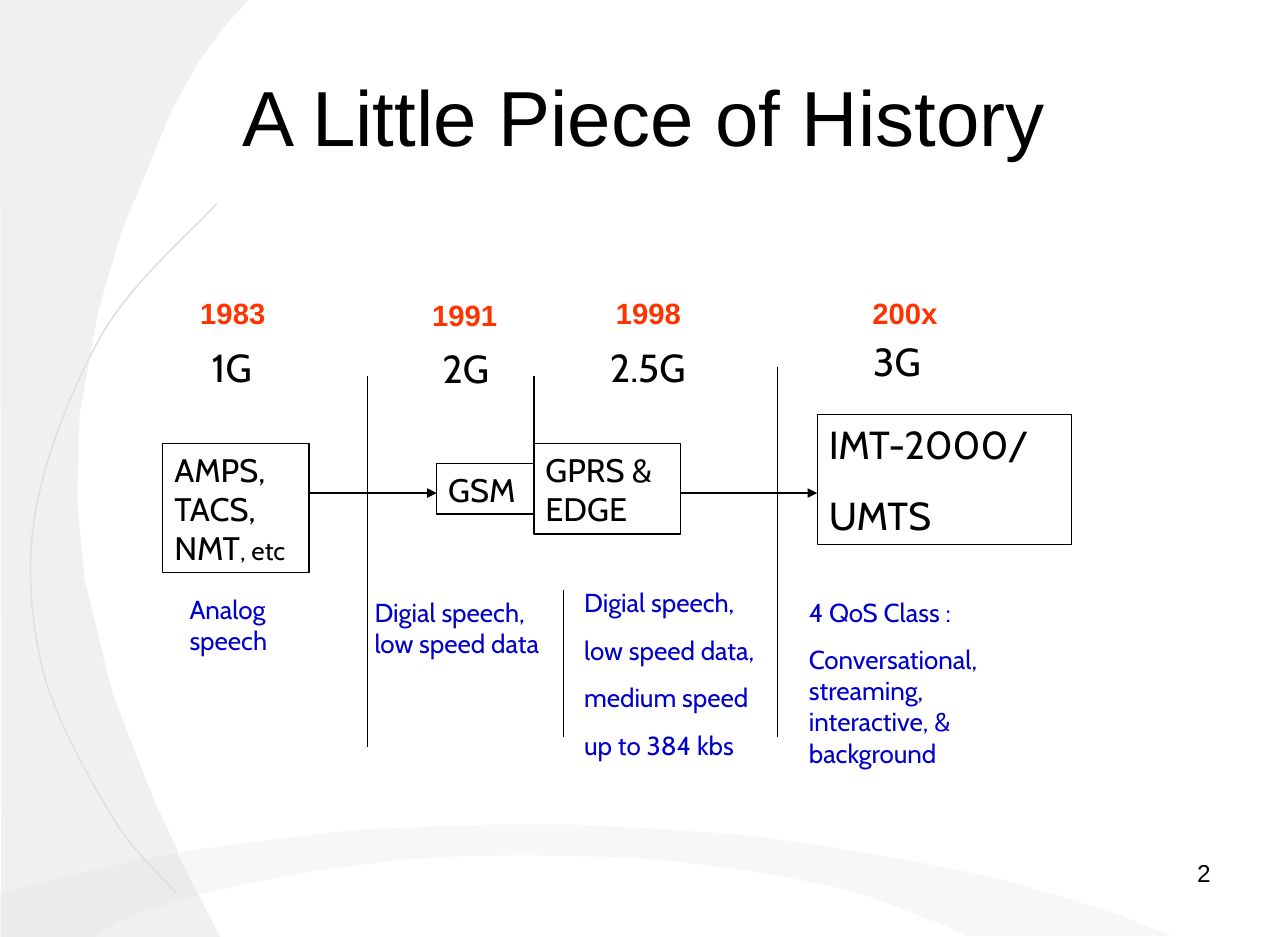
from dataclasses import dataclass

from lxml import etree
from pptx import Presentation, util as u
from pptx.dml.color import RGBColor
from pptx.enum import shapes, text
from pptx.oxml import ns

# Content: places are (column, row, columns wide, rows high) on an 11 x 8 grid
COLUMNS, ROWS = 11, 8
TITLE = ("A Little Piece of History", (0.55, 0.32, 9.9, 1.33))
PAGE_NUMBER = ("2", (7.88, 7.28, 2.57, 0.56))
YEAR_SIZE = (0.82, 0.41)

STAGES = [
    dict(
        year=("1983", (1.6, 2.47)),
        generation=("1G", (1.71, 2.88, 0.63, 0.5)),
        system=([[("AMPS, TACS, NMT", "system"), (", etc", "note")]], (1.39, 3.79, 1.25, 1.1), 10),
        service=(["Analog", "speech"], (1.52, 5.02, 0.99, 0.63), False),
    ),
    dict(
        year=("1991", (3.58, 2.49)),
        generation=("2G", (3.68, 2.89, 0.63, 0.5)),
        system=([[("GSM", "system")]], (3.73, 3.96, 0.83, 0.43), 12.5),
        service=(["Digial speech,", "low speed data"], (3.1, 5.04, 1.78, 0.63), False),
    ),
    dict(
        year=("1998", (5.15, 2.47)),
        generation=("2.5G", (5.11, 2.88, 0.91, 0.5)),
        system=([[("GPRS & EDGE", "system")]], (4.56, 3.79, 1.25, 0.77), 12.5),
        service=(["Digial speech,", "low speed data,", "medium speed", "up to 384 kbs"],
                 (4.89, 4.96, 1.92, 1.58), True),
    ),
    dict(
        year=("200x", (7.34, 2.47)),
        generation=("3G", (7.36, 2.83, 0.63, 0.5)),
        system=([[("IMT-2000/", "large")], [("UMTS", "large")]], (6.98, 3.54, 2.17, 1.11), 15),
        service=(["4 QoS Class :", "Conversational, streaming, interactive, & background"],
                 (6.81, 5.04, 1.92, 1.57), True),
    ),
]
ARROW_ROW = 4.21
ARROWS = [(0, 1), (2, 3)]  # stage to stage
DIVIDERS = [(3.14, 3.21, 6.38), (4.56, 3.21, 3.79), (6.64, 3.13, 6.29), (4.81, 5.04, 6.29)]

SIDE_BAND = [
    (0, 0), (2.12, 0), (1.88, 0.27), (1.71, 0.51), (1.47, 0.93), (1.27, 1.42), (1.04, 1.97),
    (0.84, 2.65), (0.68, 3.54), (0.66, 4.27), (0.72, 4.93), (0.96, 5.92), (1.31, 6.82),
    (1.69, 7.63), (1.88, 8), (0.01, 8)]
BOTTOM_ARC = [
    (0, 8), (0, 7.63), (0.11, 7.6), (0.77, 7.43), (1.49, 7.28), (2.3, 7.17), (3, 7.09),
    (3.61, 7.06), (4.22, 7.04), (4.92, 7.04), (5.65, 7.08), (6.37, 7.13), (7.02, 7.22),
    (7.73, 7.34), (8.48, 7.49), (8.98, 7.63), (9.53, 7.8), (10, 7.99), (8.25, 7.99),
    (8.09, 7.91), (7.78, 7.79), (7.44, 7.66), (7.12, 7.57), (6.72, 7.49), (6.29, 7.42),
    (5.82, 7.36), (5.36, 7.32), (4.92, 7.31), (4.48, 7.3), (3.96, 7.31), (3.43, 7.34),
    (2.73, 7.43), (2.24, 7.52), (1.68, 7.64), (1.32, 7.75), (1.03, 7.85), (0.79, 8)]
OVERLAP = [
    (0.01, 8), (0.81, 8), (0.89, 7.94), (1.01, 7.87), (1.18, 7.8), (1.33, 7.75), (1.46, 7.71),
    (1.59, 7.67), (1.69, 7.64), (1.6, 7.45), (1.51, 7.28), (1.19, 7.34), (0.79, 7.43),
    (0.46, 7.51), (0.15, 7.59), (0.01, 7.63)]
CURVE_START = (1.5, 7.62)
CURVE = [  # two controls and an end for each cubic piece
    ((1.41, 7.51), (1.14, 7.28), (0.95, 6.96)), ((0.76, 6.64), (0.47, 6.14), (0.36, 5.7)),
    ((0.26, 5.26), (0.22, 4.81), (0.31, 4.33)), ((0.4, 3.85), (0.64, 3.25), (0.89, 2.82)),
    ((1.15, 2.39), (1.65, 1.96), (1.85, 1.74))]


@dataclass(frozen=True)
class Theme:
    ink: str = "000000"
    side: str = "F0F0F0"
    arc: str = "F7F7F7"
    overlap: str = "EBEBEB"
    curve: str = "DFDFE4"
    rule: float = 0.75
    curve_rule: float = 1


THEME = Theme()
STYLES = {  # size, font, colour, bold
    "title": (48, "Arial", THEME.ink, False),
    "year": (18, "Arial", "FF3300", True),
    "number": (15, "Arial", THEME.ink, False),
    "large": (24, "Cabin", THEME.ink, False),
    "system": (20, "Cabin", THEME.ink, False),
    "note": (16, "Cabin", THEME.ink, False),
    "service": (16, "Cabin", "0000CC", False),
}

deck = Presentation()
deck.slide_width, deck.slide_height = u.Inches(11), u.Inches(8)
page = deck.slides.add_slide(deck.slide_layouts[6])
CELL_W, CELL_H = deck.slide_width / COLUMNS, deck.slide_height / ROWS


def on_grid(*lengths):
    """Turn alternating columns and rows into slide lengths."""
    return [round(n * (CELL_H if i % 2 else CELL_W)) for i, n in enumerate(lengths)]


def apply(target, values):
    for name, value in values.items():
        setattr(target, name, value)


def set_line(shape, colour=THEME.ink, width=THEME.rule):
    shape.line.color.rgb = RGBColor.from_string(colour)
    shape.line.width = u.Pt(width)


def write(box, paragraphs, inset=0.1, grow=True, wrap=True, before=0,
          align=text.PP_ALIGN.LEFT, anchor=text.MSO_ANCHOR.TOP):
    frame = box.text_frame
    fit = text.MSO_AUTO_SIZE.SHAPE_TO_FIT_TEXT if grow else text.MSO_AUTO_SIZE.NONE
    apply(frame, dict(word_wrap=wrap, auto_size=fit, vertical_anchor=anchor,
                      margin_left=u.Inches(inset), margin_right=u.Inches(inset),
                      margin_top=u.Inches(0.05), margin_bottom=u.Inches(0.05)))
    for i, spans in enumerate(paragraphs):
        para = frame.add_paragraph() if i else frame.paragraphs[0]
        apply(para, dict(alignment=align, space_before=u.Pt(before)))
        for words, style in spans:
            span = para.add_run()
            span.text = words
            size, font, colour, bold = STYLES[style]
            apply(span.font, dict(size=u.Pt(size), name=font, bold=bold))
            span.font.color.rgb = RGBColor.from_string(colour)


def label(words, place, style, **layout):
    lines = [words] if isinstance(words, str) else words
    box = page.shapes.add_textbox(*on_grid(*place))
    write(box, [[(line, style)] for line in lines], **layout)


def outline(points, close):
    """Draw points given in grid units, to a thousandth of a cell."""
    fine = [(round(x * 1000), round(y * 1000)) for x, y in points]
    builder = page.shapes.build_freeform(*fine[0], scale=(CELL_W / 1000, CELL_H / 1000))
    builder.add_line_segments(fine[1:], close=close)
    shape = builder.convert_to_shape()
    shape.shadow.inherit = False
    return shape


def connect(start, end, arrow=False):
    line = page.shapes.add_connector(shapes.MSO_CONNECTOR.STRAIGHT, *on_grid(*start, *end))
    set_line(line)
    if arrow:
        outline_xml = line._element.spPr.find(ns.qn("a:ln"))
        etree.SubElement(outline_xml, ns.qn("a:tailEnd"), type="triangle")
    etree.SubElement(line._element.spPr, ns.qn("a:effectLst"))


# Background bands and thin curve
for points, colour in ((SIDE_BAND, THEME.side), (BOTTOM_ARC, THEME.arc), (OVERLAP, THEME.overlap)):
    band = outline(points, True)
    band.fill.solid()
    band.fill.fore_color.rgb = RGBColor.from_string(colour)
    band.line.fill.background()

STEPS = 12
curve_points = [CURVE_START]
for first, second, end in CURVE:
    start = curve_points[-1]
    for t in (step / STEPS for step in range(1, STEPS + 1)):
        weights = ((1 - t) ** 3, 3 * t * (1 - t) ** 2, 3 * t * t * (1 - t), t ** 3)
        curve_points.append(tuple(sum(w * p[axis] for w, p in zip(weights, (start, first, second, end)))
                                  for axis in (0, 1)))
curve = outline(curve_points, False)
curve.fill.background()
set_line(curve, THEME.curve, THEME.curve_rule)

# Title
label(*TITLE, "title", inset=0.11, grow=False, align=text.PP_ALIGN.CENTER, anchor=text.MSO_ANCHOR.MIDDLE)

# Stages: year, generation, system box, service
for stage in STAGES:
    paragraphs, place, before = stage["system"]
    box = page.shapes.add_shape(shapes.MSO_SHAPE.RECTANGLE, *on_grid(*place))
    box.shadow.inherit = False
    box.fill.background()
    set_line(box)
    write(box, paragraphs, before=before)
    year, corner = stage["year"]
    label(year, corner + YEAR_SIZE, "year", inset=0.11)
    label(*stage["generation"], "large", wrap=False)
    lines, place, spaced = stage["service"]
    label(lines, place, "service", wrap=spaced, before=10 if spaced else 0)

# Arrows between boxes, and dividers
for source, target in ARROWS:
    left, _, width, _ = STAGES[source]["system"][1]
    connect((left + width, ARROW_ROW), (STAGES[target]["system"][1][0], ARROW_ROW), arrow=True)
for column, top, bottom in DIVIDERS:
    connect((column, top), (column, bottom))

# Page number
label(*PAGE_NUMBER, "number", inset=0.11, grow=False, align=text.PP_ALIGN.RIGHT)

deck.save("out.pptx")
